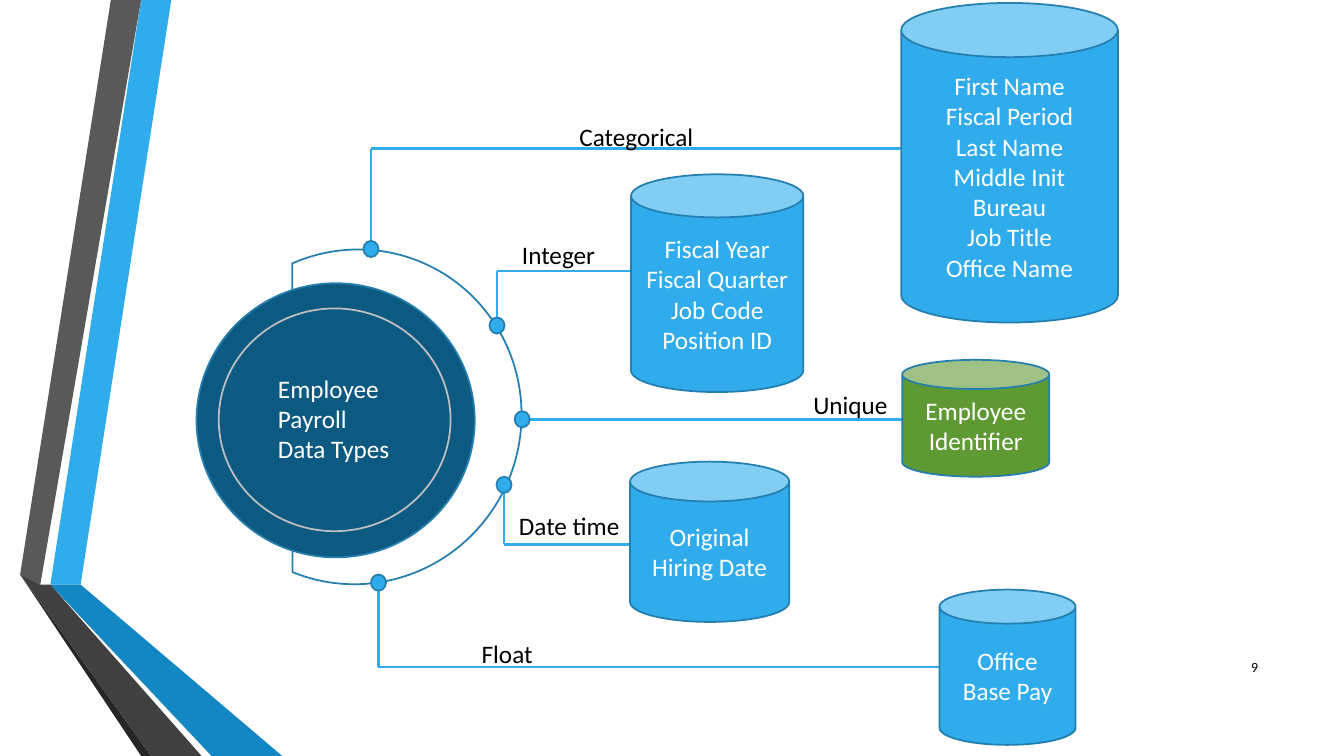
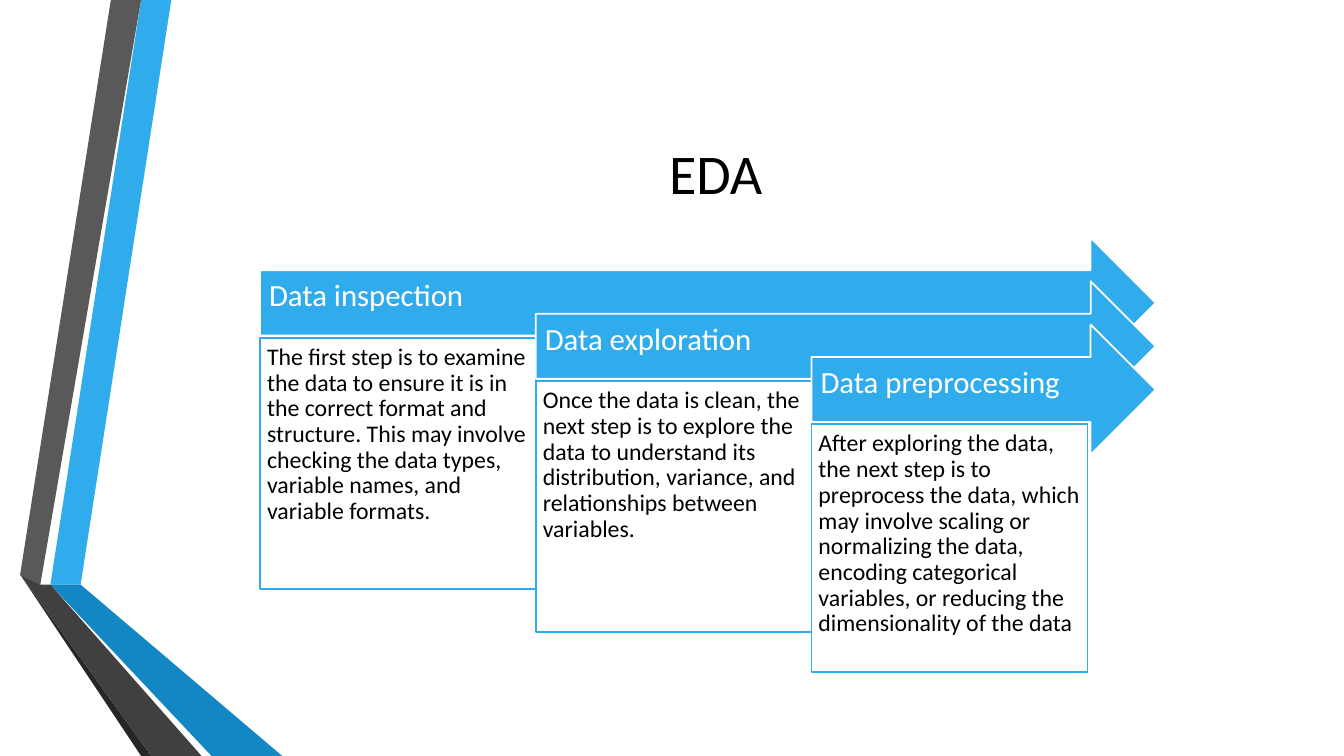
from lxml.etree import SubElement
from pptx import Presentation
from pptx.dml.color import RGBColor
from pptx.enum.shapes import MSO_CONNECTOR, MSO_SHAPE
from pptx.enum.text import MSO_ANCHOR, PP_ALIGN
from pptx.oxml.ns import qn
from pptx.util import Inches, Pt

WIDE, HIGH = Inches(13.333), Inches(7.5)
ROWS = 75
CELL = HIGH // ROWS

SKY = RGBColor(0x30, 0xAC, 0xEC)
AZURE = RGBColor(0x12, 0x87, 0xC3)
RIM = RGBColor(0x24, 0x7F, 0xAF)
NAVY = RGBColor(0x0C, 0x5A, 0x82)
GREEN = RGBColor(0x5F, 0x99, 0x34)
SILVER = RGBColor(0xBF, 0xBF, 0xBF)
GRAY = RGBColor(0x59, 0x59, 0x59)
SLATE = RGBColor(0x40, 0x40, 0x40)
COAL = RGBColor(0x26, 0x26, 0x26)
BLACK = RGBColor(0, 0, 0)
WHITE = RGBColor(0xFF, 0xFF, 0xFF)
FONT = "Calibri"

RIBBON = [
    (SKY, [(5, 57.8), (7.7, 58.3), (17.3, 0), (14.5, 0)]),
    (GRAY, [(13.9, 0), (11.1, 0), (1.6, 57.3), (4.4, 57.7)]),
    (COAL, [(1.6, 57.3), (14.5, 75), (15.1, 75)]),
    (NAVY, [(5, 57.9), (20.8, 75), (21.4, 75)]),
    (AZURE, [(5, 57.8), (21.4, 75), (28.3, 75), (7.7, 58.3)]),
    (SLATE, [(20.2, 75), (4.8, 58.3), (4.4, 57.7), (1.6, 57.3), (15.1, 75)]),
]

BRANCHES = [
    ("Categorical", (56.5, 11.5), (36.8, 24.7), 14.75, (89.4, 0.3, 21.5, 31.7), SKY,
     ["First Name", "Fiscal Period", "Last Name", "Middle Init", "Bureau",
      "Job Title", "Office Name"]),
    ("Integer", (50.8, 23.3), (49.3, 32.3), 26.9, (62.6, 17.3, 17.1, 21.6), SKY,
     ["Fiscal Year", "Fiscal Quarter", "Job Code", "Position ID"]),
    ("Unique", (79.7, 38.1), (51.8, 41.6), 41.6, (89.5, 35.7, 14.6, 11.6), GREEN,
     ["Employee Identifier"]),
    ("Date time", (50.5, 50.1), (50, 48.1), 54, (62.5, 45.8, 15.8, 15.9), SKY,
     ["Original Hiring Date"]),
    ("Float", (46.8, 62.8), (37.55, 57.8), 66.2, (93.2, 58.5, 13.5, 15.4), SKY,
     ["Office", "Base Pay"]),
]

STEPS = [
    ("Data inspection", 24.9,
     "The first step is to examine the data to ensure it is in the correct format "
     "and structure. This may involve checking the data types, variable names, "
     "and variable formats."),
    ("Data exploration", 24.9,
     "Once the data is clean, the next step is to explore the data to understand "
     "its distribution, variance, and relationships between variables."),
    ("Data preprocessing", 24.6,
     "After exploring the data, the next step is to preprocess the data, which may "
     "involve scaling or normalizing the data, encoding categorical variables, or "
     "reducing the dimensionality of the data"),
]


def cells(*nums):
    """Turn counts of grid cells into lengths."""
    return [round(num * CELL) for num in nums]


def write(frame, lines, size, color, align=PP_ALIGN.LEFT, anchor=MSO_ANCHOR.TOP,
          inset=(1, 0.5, 1, 0.5), space=1.0):
    """Fill a text frame, one paragraph a line."""
    frame.word_wrap = True
    frame.vertical_anchor = anchor
    (frame.margin_left, frame.margin_top,
     frame.margin_right, frame.margin_bottom) = cells(*inset)
    for num, line in enumerate(lines):
        para = frame.add_paragraph() if num else frame.paragraphs[0]
        para.alignment = align
        para.line_spacing = space
        run = para.add_run()
        run.text = line
        run.font.name = FONT
        run.font.size = Pt(size)
        run.font.color.rgb = color


def paint(shape, fill, line):
    """Set fill and outline, and drop the shadow."""
    shape.shadow.inherit = False
    if fill is None:
        shape.fill.background()
    else:
        shape.fill.solid()
        shape.fill.fore_color.rgb = fill
    if line is None:
        shape.line.fill.background()
    else:
        shape.line.color.rgb = line
        shape.line.width = Pt(1.25)


def add_form(slide, kind, box, fill, line=RIM):
    """Add a preset shape on the grid."""
    shape = slide.shapes.add_shape(kind, *cells(*box))
    paint(shape, fill, line)
    return shape


def add_text(slide, box, lines, size, color, **style):
    """Add a text box on the grid."""
    frame = slide.shapes.add_textbox(*cells(*box)).text_frame
    write(frame, lines, size, color, **style)


def add_line(slide, start, end):
    """Add a straight line between two grid points."""
    line = slide.shapes.add_connector(MSO_CONNECTOR.STRAIGHT, *cells(*start, *end))
    line.line.color.rgb = SKY
    line.line.width = Pt(1.75)
    SubElement(line.element.spPr, qn("a:effectLst"))


def add_ribbon(slide, master):
    """Draw the folded ribbon and hand it to the master."""
    for num, (color, points) in enumerate(RIBBON):
        pen = slide.shapes.build_freeform(*points[0], scale=CELL)
        pen.add_line_segments(points[1:], close=True)
        shape = pen.convert_to_shape()
        paint(shape, color, None)
        shape.element.nvSpPr.cNvPr.set("id", str(20 + num))
        master.shapes.element.insert(2 + num, shape.element)


def add_hub(slide):
    """Draw the round hub with its arc."""
    arc = add_form(slide, MSO_SHAPE.CHORD, (19, 24.7, 32.7, 33.3), None)
    arc.rotation = 202.3
    add_form(slide, MSO_SHAPE.OVAL, (19.5, 28.1, 27.6, 27.2), NAVY)
    add_form(slide, MSO_SHAPE.OVAL, (21.7, 30.6, 23, 22.1), NAVY, SILVER)
    add_text(slide, (26.6, 36.5, 13.7, 10.1), ["Employee Payroll Data Types"], 18, WHITE)


def add_branch(slide, label, spot, dot, bend, box, fill, names):
    """Draw one data type: path, dot, can and label."""
    turn = (dot[0], bend)
    if turn != dot:
        add_line(slide, dot, turn)
    add_line(slide, turn, (box[0], bend))
    add_form(slide, MSO_SHAPE.OVAL, (dot[0] - 0.75, dot[1] - 0.8, 1.5, 1.6), SKY)
    can = add_form(slide, MSO_SHAPE.CAN, box, fill)
    write(can.text_frame, names, 18, WHITE, PP_ALIGN.CENTER, MSO_ANCHOR.MIDDLE)
    add_text(slide, (*spot, 18.1, 4), [label], 18, BLACK)


def add_step(slide, num, head, tall, body):
    """Draw one arrow of the cascade and the box below it."""
    left, top, right = 25.8 + 27.35 * num, 23.6 + 4.3 * num, 114.65
    arrow = add_form(slide, MSO_SHAPE.RIGHT_ARROW, (left, top, right - left, 12.9),
                     SKY, WHITE)
    write(arrow.text_frame, [head], 22, WHITE, anchor=MSO_ANCHOR.MIDDLE,
          inset=(0.9, 0.9, 2.8, 2.1), space=0.9)
    card = add_form(slide, MSO_SHAPE.RECTANGLE, (left, top + 9.9, 27.4, tall), WHITE, SKY)
    write(card.text_frame, [body], 17, BLACK, inset=(0.7,) * 4, space=0.9)


def add_title(slide, text):
    """Place and fill the title."""
    title = slide.shapes.title
    title.left, title.top, title.width, title.height = cells(16.2, 7.5, 109.6, 19.2)
    write(title.text_frame, [text], 40, BLACK, PP_ALIGN.CENTER, MSO_ANCHOR.MIDDLE)


def main():
    """Build both slides and save them."""
    deck = Presentation()
    deck.slide_width, deck.slide_height = WIDE, HIGH
    types = deck.slides.add_slide(deck.slide_layouts[6])
    add_ribbon(types, deck.slide_master)
    add_text(types, (119.8, 64.2, 6, 4), ["9"], 10, BLACK, align=PP_ALIGN.RIGHT,
             anchor=MSO_ANCHOR.MIDDLE)
    add_hub(types)
    for branch in BRANCHES:
        add_branch(types, *branch)

    steps = deck.slides.add_slide(deck.slide_layouts[5])
    add_title(steps, "EDA")
    for num, step in enumerate(STEPS):
        add_step(steps, num, *step)
    deck.save("out.pptx")


if __name__ == "__main__":
    main()
